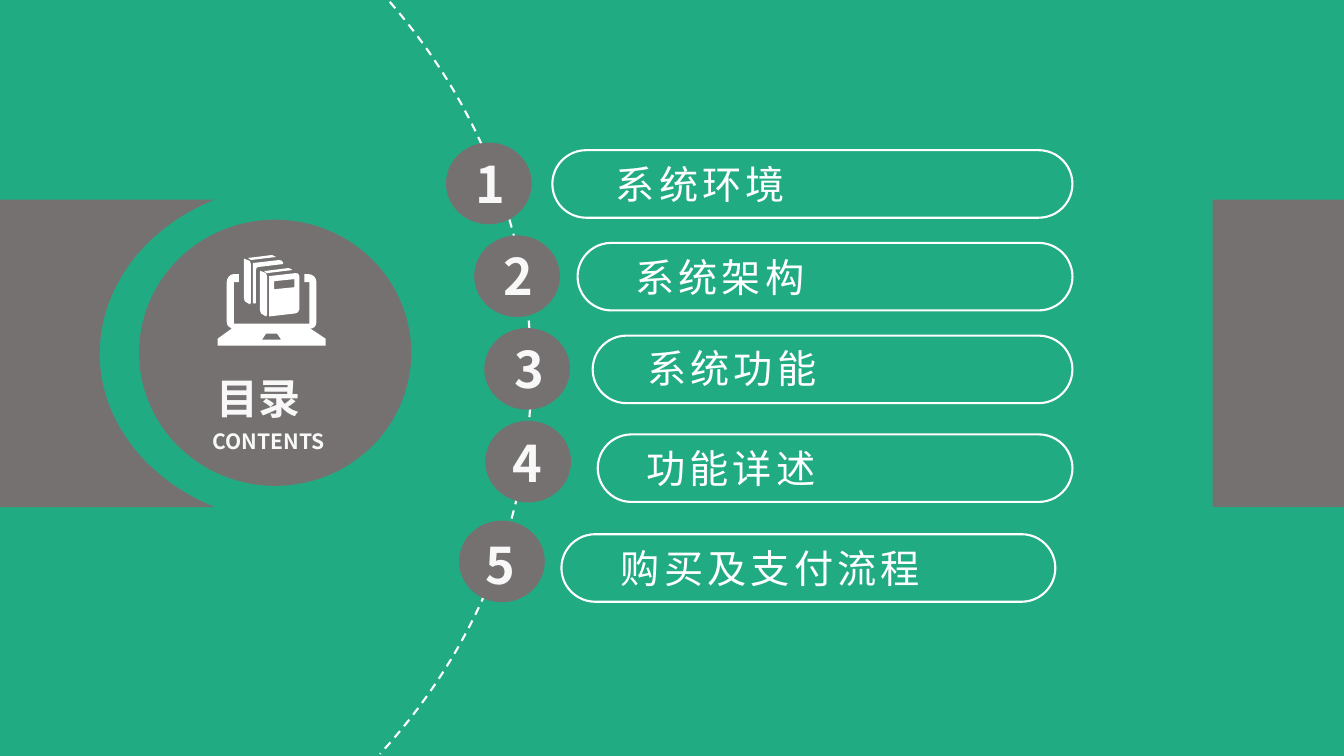
from dataclasses import dataclass

from lxml import etree
from pptx import Presentation
from pptx.dml.color import RGBColor as RGB
from pptx.enum.dml import MSO_LINE as DASH
from pptx.enum.shapes import MSO_SHAPE as SHAPE
from pptx.enum.text import MSO_ANCHOR as ANCHOR, MSO_AUTO_SIZE as AUTO, PP_ALIGN as ALIGN
from pptx.oxml.ns import qn
from pptx.util import Inches, Pt


@dataclass(frozen=True)
class Theme:
    green: str = "21AB82"
    grey: str = "767171"
    white: str = "FFFFFF"
    pale: str = "F8F8F8"
    font: str = "Noto Sans CJK SC"
    number: int = 36
    title: int = 30
    item: int = 28
    caption: int = 15
    thin: float = 0.75
    rule: float = 1.5


T = Theme()

# Number, disc left/top, numeral left/top, pill left/top/width, label left/top/width, label
ITEMS = [
    ("1", (4.43, 1.42), (4.60, 1.46), (5.48, 1.49, 5.16), (5.99, 1.53, 1.98), "系统环境"),
    ("2", (4.71, 2.34), (4.87, 2.37), (5.73, 2.41, 4.91), (6.18, 2.45, 1.98), "系统架构"),
    ("3", (4.81, 3.26), (4.98, 3.29), (5.88, 3.33, 4.76), (6.30, 3.36, 1.98), "系统功能"),
    ("4", (4.82, 4.18), (4.96, 4.23), (5.93, 4.31, 4.71), (6.29, 4.35, 1.98), "功能详述"),
    ("5", (4.56, 5.17), (4.70, 5.24), (5.57, 5.30, 4.90), (6.04, 5.34, 3.28), "购买及支付流程"),
]

# Outlines in inches: M start, L line, C cubic curve
BAND = "M 2.13,5.03 L 0,5.03 0,1.98 2.13,1.98 C 1.46,2.25 0.99,2.83 0.99,3.51 0.99,4.18 1.46,4.76 2.13,5.03"
ARC = "M 3.77,-0.09 C 4.7,0.93 5.27,2.25 5.27,3.7 5.27,5.15 4.7,6.47 3.77,7.48"
TRACKPAD = "M 2.64,3.31 L 2.75,3.31 2.79,3.37 2.6,3.37 2.64,3.31"
PAGE_EDGE = "M 2.46,2.56 L 2.49,2.58 C 2.49,2.58 2.49,2.58 2.49,2.58 L 2.74,2.55 C 2.73,2.54 2.72,2.53 2.7,2.53 L 2.46,2.56"
SPINE = ("M 2.43,2.57 L 2.48,2.59 C 2.48,2.6 2.49,2.61 2.49,2.62 L 2.49,3 C 2.49,3.01 2.48,3.02 2.48,3.02 "
         "L 2.43,2.99 C 2.42,2.98 2.42,2.97 2.42,2.96 L 2.42,2.58 C 2.42,2.57 2.42,2.56 2.43,2.57")
FRONT_COVER = ("M 2.67,2.74 L 2.93,2.71 C 2.95,2.7 2.97,2.72 2.97,2.74 L 2.97,3.07 "
               "C 2.97,3.09 2.95,3.11 2.93,3.11 L 2.67,3.14 2.67,2.74")
COVER_LABEL = "M 2.72,2.79 L 2.92,2.77 2.92,2.85 2.72,2.87 2.72,2.79"
BACK_COVER = ("M 2.51,2.61 L 2.77,2.58 C 2.79,2.58 2.81,2.59 2.81,2.61 L 2.81,2.62 2.56,2.65 "
              "C 2.55,2.65 2.54,2.66 2.54,2.68 L 2.54,3.01 2.51,3.01 2.51,2.61")
LAPTOP = ("M 2.32,2.8 L 2.37,2.8 2.37,2.72 2.32,2.72 C 2.28,2.72 2.25,2.76 2.25,2.8 L 2.25,3.19 "
          "C 2.25,3.23 2.27,3.25 2.3,3.26 L 2.3,3.26 2.16,3.36 2.16,3.43 3.23,3.43 3.23,3.36 3.08,3.26 "
          "C 3.12,3.26 3.14,3.23 3.14,3.19 L 3.14,2.8 C 3.14,2.76 3.11,2.72 3.06,2.72 "
          "L 3.02,2.72 3.02,2.8 3.07,2.8 3.07,3.21 2.32,3.21 2.32,2.8")


def trace(outline, dx=0, dy=0):
    """Turn an outline into (kind, point) steps."""
    steps, kind = [], "M"
    for token in outline.split():
        if token.isalpha():
            kind = token
        else:
            x, y = map(float, token.split(","))
            steps.append((kind, (Inches(x + dx), Inches(y + dy))))
    return steps


def bend(sp, kinds):
    """Join each three line segments marked C into one cubic curve."""
    lines = list(sp._element.iter(qn("a:lnTo")))
    marked = [line for line, kind in zip(lines, kinds) if kind == "C"]
    for i in range(0, len(marked), 3):
        curve = etree.Element(qn("a:cubicBezTo"))
        marked[i].addprevious(curve)
        for line in marked[i:i + 3]:
            curve.append(line[0])
            line.getparent().remove(line)


def paint(sp, fill=None, line=None, width=T.rule, dash=None):
    sp.shadow.inherit = False
    for part, color in ((sp.fill, fill), (sp.line.fill, line)):
        if color:
            part.solid()
            part.fore_color.rgb = RGB.from_string(color)
        else:
            part.background()
    if line:
        sp.line.width = Pt(width)
    if dash:
        sp.line.dash_style = dash
    return sp


def add_preset(slide, kind, box, **look):
    return paint(slide.shapes.add_shape(kind, *map(Inches, box)), **look)


def add_outline(slide, contours, close=True, **look):
    builder = slide.shapes.build_freeform(*contours[0][0][1])
    kinds = []
    for i, steps in enumerate(contours):
        if i:
            builder.move_to(*steps[0][1])
        builder.add_line_segments([pt for _, pt in steps[1:]], close=close)
        kinds += [kind for kind, _ in steps[1:]]
    sp = builder.convert_to_shape()
    bend(sp, kinds)
    return paint(sp, **look)


def set_text(sp, box, text, size, color=T.pale, bold=True, wrap=False, align=ALIGN.LEFT, spacing=0):
    for name, value in zip(("left", "top", "width", "height"), box):
        setattr(sp, name, Inches(value))
    tf = sp.text_frame
    frame = {"margin_left": Inches(0.12), "margin_right": Inches(0.12), "margin_top": Inches(0.06),
             "margin_bottom": Inches(0.06), "word_wrap": wrap, "auto_size": AUTO.SHAPE_TO_FIT_TEXT,
             "vertical_anchor": ANCHOR.TOP}
    for name, value in frame.items():
        setattr(tf, name, value)
    p = tf.paragraphs[0]
    p.alignment = align
    r = p.add_run()
    r.text = text
    for name, value in {"size": Pt(size), "bold": bold, "name": T.font}.items():
        setattr(r.font, name, value)
    r.font.color.rgb = RGB.from_string(color)
    rPr = r.font._element
    etree.SubElement(rPr, qn("a:ea")).set("typeface", T.font)
    if spacing:
        rPr.set("spc", str(spacing * 100))


def add_text(slide, box, text, size, **look):
    set_text(slide.shapes.add_textbox(*map(Inches, box)), box, text, size, **look)


def add_item(slide, number, disc, numeral, pill, label, text):
    add_preset(slide, SHAPE.OVAL, (*disc, 0.84, 0.8), fill=T.grey, line=T.grey, width=T.thin)
    sp = add_preset(slide, SHAPE.ROUNDED_RECTANGLE, (*pill, 0.67), line=T.white)
    sp.adjustments[0] = 0.5
    add_text(slide, (*label, 0.59), text, T.item, color=T.white, bold=False, spacing=3)
    add_text(slide, (*numeral, 0.55, 0.73), number, T.number)


def add_icon(slide):
    contours = [trace(o) for o in (TRACKPAD, PAGE_EDGE, SPINE, FRONT_COVER, COVER_LABEL, BACK_COVER, LAPTOP)]
    # The front book repeats the back book's edge and spine
    contours += [trace(PAGE_EDGE, 0.16, 0.13), trace(SPINE, 0.16, 0.12)]
    add_outline(slide, contours, fill=T.white)


def main():
    prs = Presentation()
    prs.slide_width, prs.slide_height = Inches(40 / 3), Inches(7.5)
    slide = prs.slides.add_slide(prs.slide_layouts[5])
    bg = slide.background.fill
    bg.solid()
    bg.fore_color.rgb = RGB.from_string(T.green)

    # Side bands and dashed arc
    add_preset(slide, SHAPE.RECTANGLE, (12.03, 1.98, 1.31, 3.05), fill=T.grey)
    add_outline(slide, [trace(BAND)], fill=T.grey)
    add_outline(slide, [trace(ARC)], close=False, line=T.white, dash=DASH.DASH)

    # Numbered entries
    for item in ITEMS:
        add_item(slide, *item)

    # Title disc, with the title in front
    add_preset(slide, SHAPE.OVAL, (1.38, 2.18, 2.7, 2.64), fill=T.grey)
    add_icon(slide)
    title = slide.shapes.title
    slide.shapes._spTree.append(title._element)
    set_text(title, (2.03, 3.64, 1.33, 0.63), "目录", T.title, wrap=True, align=ALIGN.JUSTIFY)
    add_text(slide, (1.99, 4.19, 1.42, 0.37), "CONTENTS", T.caption)

    prs.save("out.pptx")


main()
